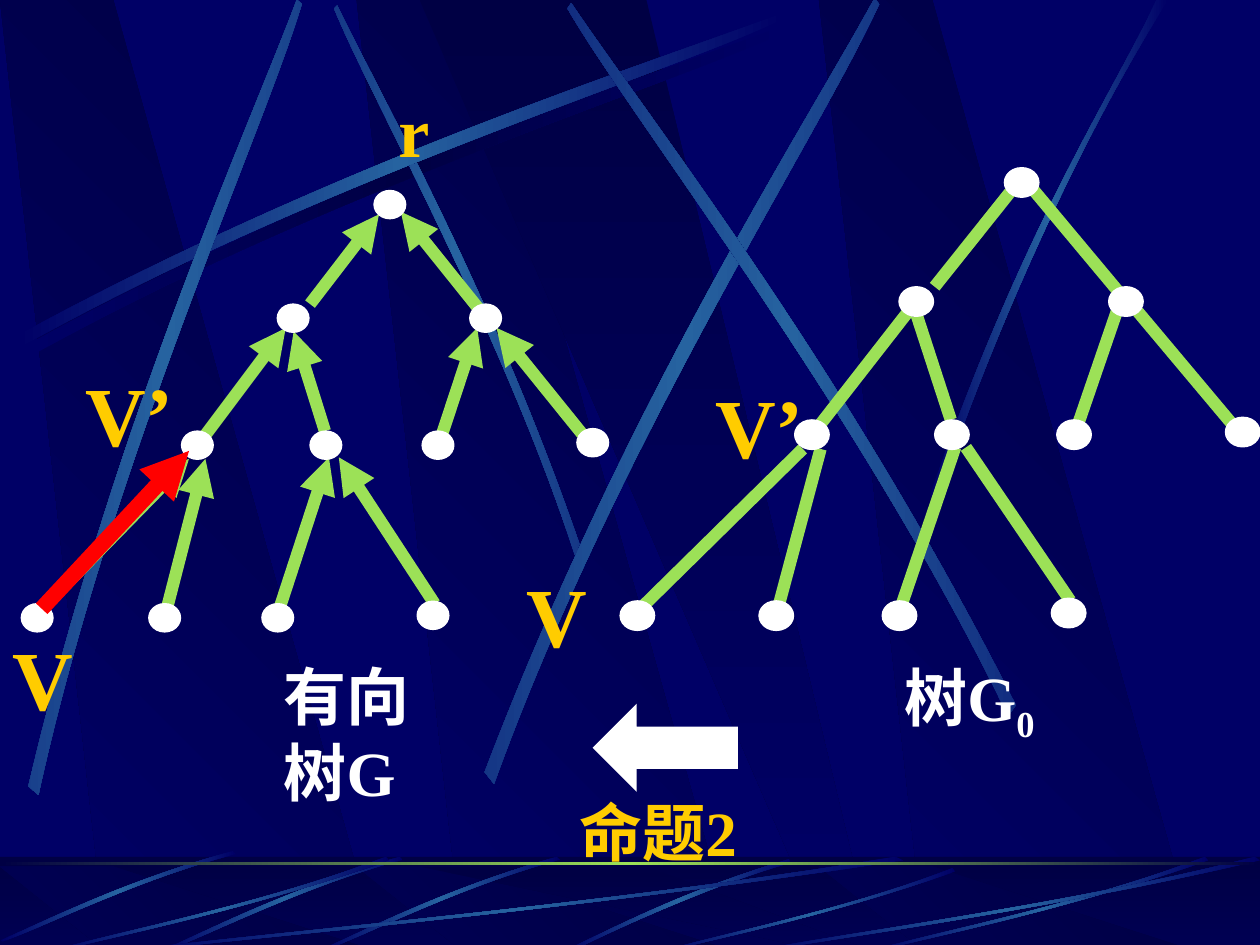
from lxml.etree import SubElement
from pptx import Presentation
from pptx.dml.color import RGBColor
from pptx.enum.shapes import MSO_CONNECTOR, MSO_SHAPE
from pptx.oxml.ns import qn
from pptx.util import Cm, Pt

NAVY = RGBColor(0x00, 0x00, 0x66)
DARK = RGBColor(0x00, 0x00, 0x44)
BLUE = RGBColor(0x26, 0x63, 0xA0)
GREEN = RGBColor(0x9C, 0xE1, 0x57)
GOLD = RGBColor(0xFF, 0xCC, 0x00)
WHITE = RGBColor(0xFF, 0xFF, 0xFF)
RED = RGBColor(0xFF, 0x00, 0x00)
LATIN, CJK = "Times New Roman", "Noto Sans CJK SC"

# Outlines as fractions of their box
FRAME = [(0, 0), (1, 0), (1, 1), (0, 1)]
BAND = [(0.28, 1), (1, 1), (0.3, 0), (0, 0)]
WEDGE = [(0, 0), (0.9, 1), (1, 1), (0.5, 0)]
# Streaks: two Bezier curves, four points each
ARC = [(0, 0.96), (0.43, 0.43), (0.83, 0.15), (1, 0),
       (1, 0.02), (0.84, 0.19), (0.39, 0.5), (0, 1)]
BEAM = [(0, 0.99), (0.4, 0.44), (0.79, 0.17), (0.95, 0),
        (1, 0), (0.52, 0.36), (0.16, 0.81), (0.03, 1)]
FAN = [(1, 0.04), (0.57, 0.57), (0.17, 0.85), (0.01, 1),
       (0, 0.99), (0.17, 0.81), (0.62, 0.51), (0.99, 0)]
SWEEP = [(0.99, 0), (0.49, 0.37), (0.16, 0.82), (0, 0.99),
         (0.03, 1), (0.23, 0.75), (0.68, 0.25), (1, 0.04)]

# Tree drawn in a frame of this size (cm), scaled to any box
TREE_SIZE = (11.84, 8.92)
NODE_SIZE = (0.64, 0.57)
NODES = [(7.11, 0), (5.16, 2.29), (9.04, 2.29),
         (3.23, 4.85), (5.82, 4.85), (8.08, 4.85), (11.2, 4.8),
         (0, 8.33), (2.57, 8.33), (4.85, 8.33), (7.98, 8.28)]
# Child end, parent end
EDGES = [((5.82, 2.29), (7.21, 0.48)), ((9.37, 2.57), (7.65, 0.43)),
         ((3.56, 5.13), (5.33, 2.77)), ((6.12, 4.85), (5.49, 2.84)),
         ((8.41, 5.13), (9.19, 2.77)), ((11.3, 4.9), (9.58, 2.77)),
         ((0.3, 8.56), (3.38, 5.41)), ((2.9, 8.56), (3.71, 5.41)),
         ((5.16, 8.56), (6.2, 5.38)), ((8.33, 8.33), (6.4, 5.38))]


def gradient(shape, colours, angle):
    shape.fill.gradient()
    fill = shape._element.spPr.find(qn("a:gradFill"))
    fill.set("rotWithShape", "0")
    for child in list(fill):
        fill.remove(child)
    stops = SubElement(fill, qn("a:gsLst"))
    for i, colour in enumerate(colours):
        stop = SubElement(stops, qn("a:gs"), pos=str(i * 100000 // (len(colours) - 1)))
        SubElement(stop, qn("a:srgbClr"), val=str(colour))
    SubElement(fill, qn("a:lin"), ang=str(angle * 60000), scaled="0")
    shape.line.fill.background()
    shape.shadow.inherit = False


def outline(parts, box, points, colours, angle):
    left, top, width, height = box
    places = [(Cm(left + x * width), Cm(top + y * height)) for x, y in points]
    builder = parts.build_freeform(*places[0])
    builder.add_line_segments(places[1:], close=True)
    shape = builder.convert_to_shape()
    gradient(shape, colours, angle)
    return shape


def streak(parts, box, controls, rotation=0, mirror=False, core=BLUE):
    shape = outline(parts, box, FRAME, (NAVY, core, NAVY), 180)
    shape.rotation = rotation
    # Curved outline inside the frame
    track = shape._element.spPr.find(".//" + qn("a:path"))
    for child in list(track):
        track.remove(child)
    steps = (("moveTo", controls[:1]), ("cubicBezTo", controls[1:4]),
             ("lnTo", controls[4:5]), ("cubicBezTo", controls[5:]), ("close", []))
    for name, points in steps:
        step = SubElement(track, qn("a:" + name))
        for x, y in points:
            x = 1 - x if mirror else x
            SubElement(step, qn("a:pt"), x=str(round(x * shape.width)),
                       y=str(round(y * shape.height)))


def solid(parts, kind, box, colour, line_width=None):
    shape = parts.add_shape(kind, *map(Cm, box))
    shape.shadow.inherit = False
    shape.fill.solid()
    shape.fill.fore_color.rgb = colour
    if line_width is None:
        shape.line.fill.background()
    else:
        shape.line.color.rgb = colour
        shape.line.width = Pt(line_width)
    return shape


def line(parts, start, end, colour, width, arrow=False):
    link = parts.add_connector(MSO_CONNECTOR.STRAIGHT, *map(Cm, (*start, *end)))
    link.line.color.rgb = colour
    link.line.width = Pt(width)
    if arrow:
        SubElement(link.line._get_or_add_ln(), qn("a:tailEnd"), type="triangle")
    SubElement(link._element.spPr, qn("a:effectLst"))


def label(parts, text, box, size=48, colour=GOLD, wrap=True, subscript=""):
    frame = parts.add_textbox(*map(Cm, box)).text_frame
    frame.word_wrap = wrap
    para = frame.paragraphs[0]
    for piece in filter(None, (text, subscript)):
        span = para.add_run()
        span.text = piece
        span.font.size, span.font.bold = Pt(size), True
        span.font.name, span.font.color.rgb = LATIN, colour
        props = span.font._element
        SubElement(props, qn("a:ea"), typeface=CJK)
        if piece == subscript:
            props.set("baseline", "-25000")


def bands(parts, box):
    left, top, width, height = box
    for offset in (7.19, 0, 16.51):
        outline(parts, (left + offset, top, 0.3 * width, height), BAND, (DARK, NAVY), 135)
    outline(parts, (left + 8.46, top, 0.36 * width, height), WEDGE, (DARK, NAVY), 90)


def backdrop(page, box):
    left, top = box[:2]
    parts = page.shapes.add_group_shape().shapes
    bands(parts, box)
    # Crossing streaks
    arc = (15.44, 6.78)
    streak(parts, (left + 0.51, top + 0.46, *arc), ARC, core=DARK)
    streak(parts, (left + 3.58, top + 3.43, 11.23, 4.45), ARC, 45, mirror=True)
    streak(parts, (left + 0.36, top + 0.25, *arc), ARC)
    streak(parts, (left - 4.34, top + 4.62, *arc), ARC, 311.7)
    streak(parts, (left + 5.87, top + 4.06, 15.85, 7.65), ARC, 321.6)
    streak(parts, (left + 8.2, top + 3.86, *arc), ARC, 34.8, mirror=True)
    streak(parts, (left + 18.75, top, 4.8, 10.08), BEAM)


def floor(page, box):
    left, top, width, height = box
    parts = page.shapes.add_group_shape().shapes
    gradient(parts.add_shape(MSO_SHAPE.RECTANGLE, *map(Cm, box)), (DARK, NAVY), 90)
    bands(parts, (left, top + 0.2, width, height - 0.2))
    veil = solid(parts, MSO_SHAPE.RECTANGLE, box, DARK)
    tint = veil._element.spPr.find(qn("a:solidFill"))[0]
    SubElement(tint, qn("a:alpha"), val="50000")
    # Low streaks: left, drop from the top, width
    streak(parts, (left + 11.38, top + 0.05, 4.57, height - 0.05), SWEEP)
    for x, drop, span in ((6.55, -0.1, 4.67), (3.38, -0.1, 4.67), (0.1, -0.25, 4.57)):
        streak(parts, (left + x, top + drop, span, 2.13), ARC, 314.9, mirror=True)
    for x, drop, span in ((2.54, 0, 15.67), (1.07, 0, 6.78), (13.39, 0.23, 5.87),
                          (17.58, 0, 6.78), (15.24, 0, 10.16)):
        streak(parts, (left + x, top + drop, span, height - drop), FAN)
    rule = parts.add_shape(MSO_SHAPE.RECTANGLE, Cm(left), Cm(top + 0.1), Cm(width), Cm(0.06))
    gradient(rule, (DARK, GREEN, DARK), 180)


def tree(page, box, directed=False):
    left, top, width, height = box
    across, down = width / TREE_SIZE[0], height / TREE_SIZE[1]
    parts = page.shapes.add_group_shape().shapes
    for ends in EDGES:
        child, parent = [(left + x * across, top + y * down) for x, y in ends]
        line(parts, child, parent, GREEN, 7, directed)
    for x, y in NODES:
        node = (left + x * across, top + y * down, NODE_SIZE[0] * across, NODE_SIZE[1] * down)
        solid(parts, MSO_SHAPE.OVAL, node, WHITE, 0.75)
    return parts


def directed_tree(page, box):
    left, top = box[:2]
    parts = tree(page, box, directed=True)
    label(parts, "r", (left + 7.35, top - 2.21, 1.12, 1.96), 40, wrap=False)
    label(parts, "有向树G", (left + 5.04, top + 9.29, 3.51, 3.3), 36, WHITE)


def plain_tree(page, box):
    left, top = box[:2]
    parts = tree(page, box)
    label(parts, "树G", (left + 5.48, top + 9.78, 3.81, 2.01), 36, WHITE, subscript="0")


def annotations(page, box):
    left, top = box[:2]
    parts = page.shapes
    arrow = solid(parts, MSO_SHAPE.LEFT_ARROW, (left + 12.07, top + 14.4, 2.72, 1.35), WHITE, 5)
    arrow.adjustments[0], arrow.adjustments[1] = 0.5, 0.5
    SubElement(arrow.line._get_or_add_ln(), qn("a:miter"), lim="800000")
    label(parts, "命题2", (left + 11.43, top + 15.88, 4.45, 1.78), 36)
    for text, x, y, width in (("V", 10.36, 11.23, 2.54), ("V’", 14.17, 7.42, 2.74),
                              ("V’", 1.47, 7.19, 2.34), ("V", 0, 12.5, 2.74)):
        label(parts, text, (left + x, top + y, width, 2.29))
    line(parts, (left + 0.84, top + 12.27), (left + 3.81, top + 9.09), RED, 9, arrow=True)


def main():
    deck = Presentation()
    deck.slide_width, deck.slide_height = Cm(25.4), Cm(19.05)
    page = deck.slides.add_slide(deck.slide_layouts[6])
    page.background.fill.solid()
    page.background.fill.fore_color.rgb = NAVY
    whole = (0, 0, 25.4, 19.05)
    backdrop(page, whole)
    floor(page, (0, 17.27, 25.4, 1.91))
    directed_tree(page, (0.43, 3.84, 11.84, 8.92))
    plain_tree(page, (12.5, 3.38, 12.9, 9.35))
    annotations(page, whole)
    deck.save("out.pptx")


if __name__ == "__main__":
    main()
